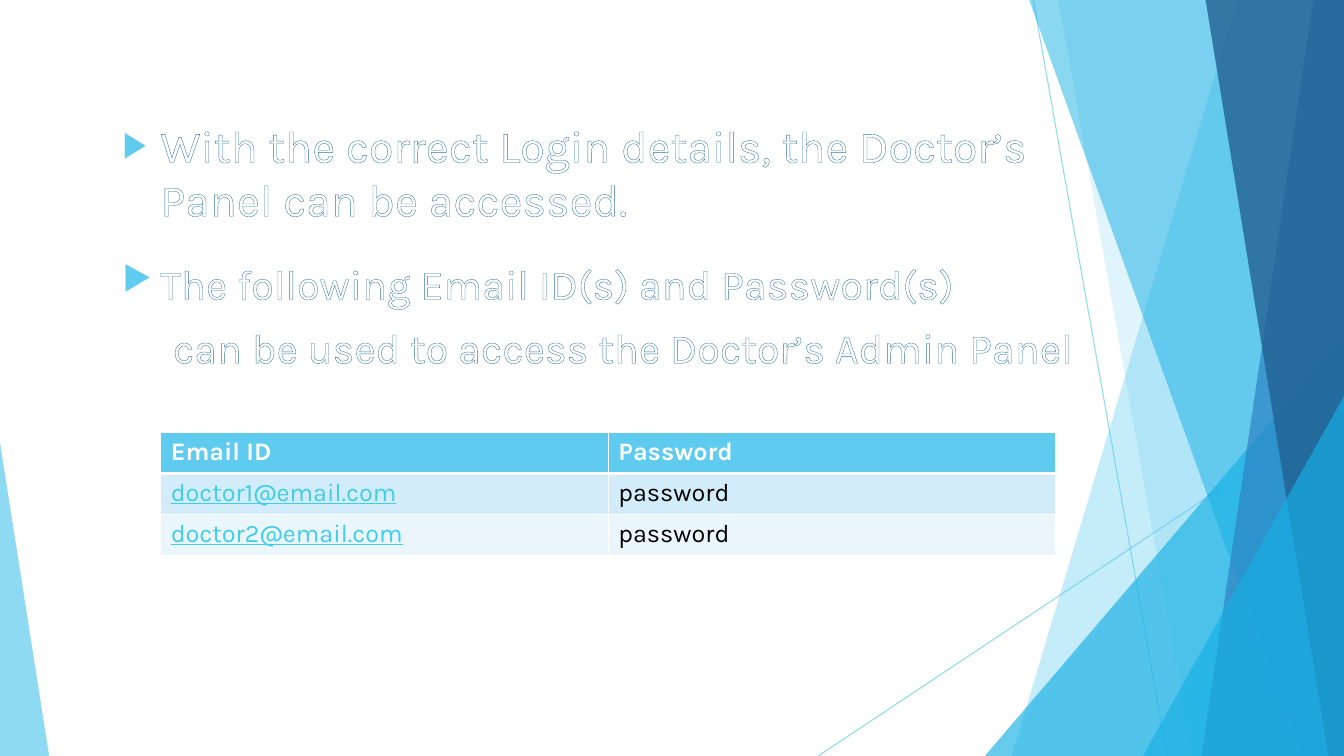
from lxml import etree
from pptx import Presentation
from pptx.dml.color import RGBColor
from pptx.enum import shapes, text
from pptx.oxml.ns import qn
from pptx.util import Cm, Pt

WIDE, HIGH = 33.87, 19.05
FACE = "Karla"
SKY, AZURE, WHITE = "5FCBEF", "17B0E4", "FFFFFF"

# Corner artwork from back to front: bands hold top x and base x,
# wedges hold left, top, width and apex position.
ART = [
    ("band", (31.19, 25.5), SKY, 36),
    ("band", (26.67, 30.05), SKY, 20),
    ("wedge", (24.82, 8.46, 9.05, 1), AZURE, 66),
    ("band", (25.93, 32.79), AZURE, 50),
    ("band", (33.1, 30.28), "2E83C3", 70),
    ("band", (30.38, 33.48), "226292", 80),
    ("wedge", (28.8, 9.98, 5.07, 1), AZURE, 66),
    ("wedge", (0, 11.15, 1.24, 0), SKY, 70),
]
RAYS = [(26.04, 0, 29.41, HIGH), (WIDE, 10.24, 20.62, HIGH)]

LOGIN = ["With the correct Login details, the Doctor’s Panel can be accessed."]
USERS = ["The following Email ID(s) and Password(s)",
         "can be used to access the Doctor’s Admin Panel"]
ROWS = [("Email ID", "Password"),
        ("doctor1@email.com", "password"),
        ("doctor2@email.com", "password")]
FILLS = [SKY, "D2ECF9", "EAF6FC"]


def tint(code):
    return RGBColor.from_string(code)


def node(home, tag, **attrs):
    return etree.SubElement(home, qn(tag), attrs)


def fade(item, share):
    """Set the opacity, in percent, of every colour inside the element."""
    for color in item.iter(qn("a:srgbClr")):
        node(color, "a:alpha", val=str(share * 1000))


def style(run, code, **format):
    format = {"name": FACE, **format}
    for key, value in format.items():
        setattr(run.font, key, value)
    run.font.color.rgb = tint(code)


def stroke(home, tag, spot, points, code):
    """Insert a solid line element at the given child position."""
    line = node(home, tag, w=str(Pt(points)))
    node(node(line, "a:solidFill"), "a:srgbClr", val=code)
    home.insert(spot, line)


def ray(slide, ends):
    line = slide.shapes.add_connector(
        shapes.MSO_CONNECTOR.STRAIGHT, *(Cm(end) for end in ends))
    line.line.color.rgb = tint(SKY)
    line.line.width = Pt(0.75)
    props = line._element.spPr
    fade(props, 70)
    node(props, "a:effectLst")


def band(slide, top, base):
    """Outline a full-height strip running to the right slide edge."""
    form = slide.shapes.build_freeform(Cm(top), Cm(-0.02))
    form.add_line_segments([(Cm(WIDE), Cm(-0.02)), (Cm(WIDE), Cm(HIGH)),
                            (Cm(base), Cm(HIGH))])
    return form.convert_to_shape()


def wedge(slide, left, top, width, apex):
    """Place a triangle that stands on the bottom slide edge."""
    shape = slide.shapes.add_shape(
        shapes.MSO_SHAPE.ISOSCELES_TRIANGLE,
        Cm(left), Cm(top), Cm(width), Cm(HIGH - top))
    shape.adjustments[0] = apex
    return shape


def facet(slide, kind, place, code, share):
    shape = {"band": band, "wedge": wedge}[kind](slide, *place)
    shape.shadow.inherit = False
    shape.fill.solid()
    shape.fill.fore_color.rgb = tint(code)
    fade(shape._element.spPr, share)
    shape.line.fill.background()


def bullet(para):
    props = para._p.get_or_add_pPr()
    props.set("marL", str(Cm(0.95)))
    props.set("indent", str(Cm(-0.95)))
    node(node(props, "a:buClr"), "a:srgbClr", val=SKY)
    node(props, "a:buSzPct", val="80000")
    node(props, "a:buChar", char="▶")


def inset(para):
    props = para._p.get_or_add_pPr()
    props.set("marL", str(Cm(1.27)))
    props.set("indent", "0")
    node(props, "a:buNone")


def points(shape, lines, size):
    """Write outlined text: a bulleted line, then its inset lines."""
    frame = shape.text_frame
    format = {"word_wrap": True, "auto_size": text.MSO_AUTO_SIZE.NONE,
              "vertical_anchor": text.MSO_ANCHOR.TOP}
    for key, value in format.items():
        setattr(frame, key, value)
    for spot, line in enumerate(lines):
        para = frame.add_paragraph() if spot else frame.paragraphs[0]
        (inset if spot else bullet)(para)
        para.alignment = text.PP_ALIGN.LEFT
        para.space_before = Pt(10 if spot else 0)
        run = para.add_run()
        run.text = line
        style(run, WHITE, size=Pt(size))
        stroke(run.font._element, "a:ln", 0, 0.75, "3076A4")


def grid(slide):
    table = slide.shapes.add_table(
        len(ROWS), 2, Cm(4.05), Cm(10.9), Cm(22.56), Cm(3.09)).table
    for row, words in enumerate(ROWS):
        table.rows[row].height = Cm(1.03)
        for col, word in enumerate(words):
            cell = table.cell(row, col)
            cell.fill.solid()
            cell.fill.fore_color.rgb = tint(FILLS[row])
            widths = {"L": 1, "R": 1, "T": 3 if row == 1 else 1,
                      "B": 1 if row else 3}
            for spot, (side, width) in enumerate(widths.items()):
                stroke(cell._tc.tcPr, "a:ln" + side, spot, width, WHITE)
            run = cell.text_frame.paragraphs[0].add_run()
            run.text = word
            code = ("3FCDE7", "000000")[col] if row else WHITE
            style(run, code, size=Pt(18), bold=not row,
                  underline=bool(row and not col))


def main():
    deck = Presentation()
    deck.slide_width, deck.slide_height = Cm(WIDE), Cm(HIGH)
    slide = deck.slides.add_slide(deck.slide_layouts[1])
    title = slide.shapes.title._element
    title.getparent().remove(title)
    for ends in RAYS:
        ray(slide, ends)
    for part in ART:
        facet(slide, *part)

    body = slide.placeholders[1]
    place = {"left": 2.84, "top": 2.84, "width": 23.88, "height": 3.89}
    for key, value in place.items():
        setattr(body, key, Cm(value))
    body._element.getparent().append(body._element)
    points(body, LOGIN, 32)
    users = slide.shapes.add_textbox(Cm(2.84), Cm(6.38), Cm(24.94), Cm(3.89))
    points(users, USERS, 29.6)
    grid(slide)
    deck.save("out.pptx")


if __name__ == "__main__":
    main()
